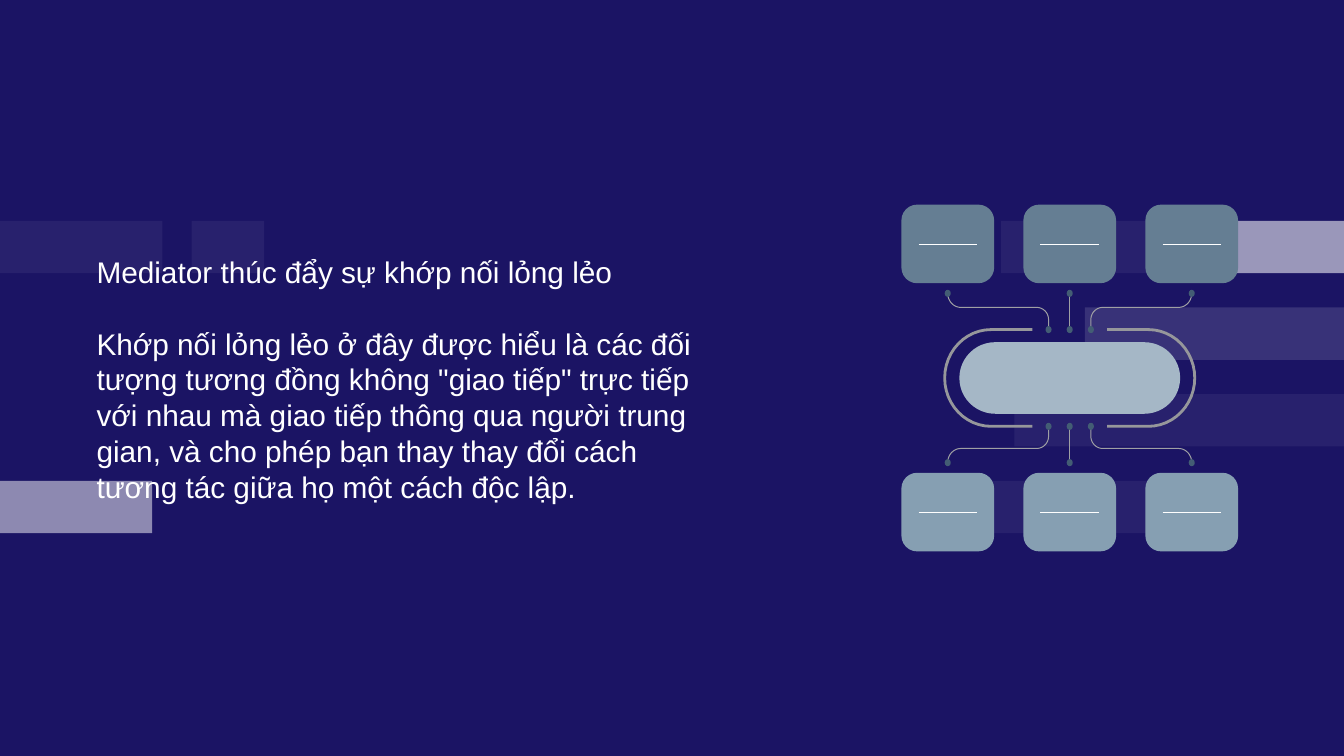
from math import cos, pi, sin

from lxml import etree
from pptx import Presentation
from pptx import util as u
from pptx.dml.color import RGBColor
from pptx.enum import shapes as kinds, text
from pptx.oxml.ns import qn

WIDE, HIGH = 13.33, 7.5
HUES = {
    "back": "1B1464", "white": "FFFFFF", "pill": "A5B7C6", "ring": "96979B",
    "rail": "9FA0A4", "dot": "435D74", "top": "657E93", "low": "869FB2",
}
BANDS = [
    (10.76, 1, 2.57, 13), (9.93, 0, 1.61, 6), (10.06, 2, 3.27, 6),
    (11.82, 0, 1.51, 56), (9.83, 3, 1.61, 6), (0, 3, 1.51, 50),
    (0, 0, 1.61, 6), (1.9, 0, 0.72, 6),
]
HEAD = "Mediator thúc đẩy sự khớp nối lỏng lẻo"
BODY = (
    "Khớp nối lỏng lẻo ở đây được hiểu là các đối tượng tương đồng không "
    '"giao tiếp" trực tiếp với nhau mà giao tiếp thông qua người trung gian, '
    "và cho phép bạn thay thay đổi cách tương tác giữa họ một cách độc lập."
)


def hue(name):
    """Return the named colour."""
    return RGBColor.from_string(HUES[name])


def block(group, kind, box, name):
    """Add a plain filled shape in a box given in inches."""
    shape = group.add_shape(kind, *map(u.Inches, box))
    shape.shadow.inherit = False
    shape.fill.solid()
    shape.fill.fore_color.rgb = hue(name)
    shape.line.fill.background()
    return shape


def centred(group, kind, x, y, w, h, name):
    """Add a filled shape around a centre point."""
    return block(group, kind, (x - w / 2, y - h / 2, w, h), name)


def rule(group, start, end, name, width):
    """Add a straight line between two points."""
    line = group.add_connector(
        kinds.MSO_CONNECTOR.STRAIGHT, *map(u.Inches, (*start, *end)))
    line.line.color.rgb = hue(name)
    line.line.width = u.Pt(width)
    etree.SubElement(line._element.spPr, qn("a:effectLst"))


def curve(group, points, name, width):
    """Add an open outline through the points."""
    spots = [(u.Inches(x), u.Inches(y)) for x, y in points]
    pen = group.build_freeform(*spots[0])
    pen.add_line_segments(spots[1:], close=False)
    shape = pen.convert_to_shape()
    shape.shadow.inherit = False
    shape.fill.background()
    shape.line.color.rgb = hue(name)
    shape.line.width = u.Pt(width)


def arc(x, y, rx, ry, start, end, steps=24):
    """Return points on an ellipse between two angles in quarter turns."""
    turns = [(start + (end - start) * i / steps) * pi / 2
             for i in range(steps + 1)]
    return [(x + rx * cos(t), y + ry * sin(t)) for t in turns]


def bands(group, top, pitch, high):
    """Place the faint bands on their rows."""
    for x, row, wide, alpha in BANDS:
        box = (x, top + row * pitch, wide, high)
        shape = block(group, kinds.MSO_SHAPE.RECTANGLE, box, "white")
        tint = shape.fill._xPr.find(".//" + qn("a:srgbClr"))
        etree.SubElement(tint, qn("a:alpha")).set("val", str(alpha * 1000))


def prose(group, box):
    """Write the heading and the paragraph below it."""
    frame = group.add_textbox(*map(u.Inches, box)).text_frame
    frame.word_wrap = True
    frame.auto_size = text.MSO_AUTO_SIZE.SHAPE_TO_FIT_TEXT
    for i, words in enumerate((HEAD, BODY)):
        para = frame.add_paragraph() if i else frame.paragraphs[0]
        para.space_before = u.Pt(25.5 * i)
        run = para.add_run()
        run.text = words
        run.font.size = u.Pt(21.3)
        run.font.name = "Arial"
        run.font.color.rgb = hue("white")


def hub(group, x, y):
    """Draw the pill and the half rings on its two sides."""
    pill = centred(group, kinds.MSO_SHAPE.ROUNDED_RECTANGLE,
                   x, y, 2.19, 0.71, "pill")
    pill.adjustments[0] = 0.5
    for side in (-1, 1):
        bend = arc(0.78, 0, 0.46, 0.48, -1, 1)
        path = [(0.37, -0.48), *bend, (0.37, 0.48)]
        curve(group, [(x + side * a, y + b) for a, b in path], "ring", 2)


def branch(group, x, y, way, name):
    """Draw three boxes and their links above or below the hub."""
    near, far, step = y + way * 0.48, y + way * 0.84, 1.21
    rule(group, (x, near), (x, far), "rail", 0.7)
    for side in (-1, 1):
        path = [(0.21, 0.48), *arc(0.33, 0.58, 0.12, 0.12, 2, 1),
                *arc(1.08, 0.84, 0.13, 0.14, -1, 0)]
        spots = [(x + side * a, y + way * b) for a, b in path]
        curve(group, spots, "rail", 0.7)
    for col in (-1, 0, 1):
        mid, row = x + col * step, y + way * 1.33
        card = centred(group, kinds.MSO_SHAPE.ROUNDED_RECTANGLE,
                       mid, row, 0.92, 0.78, name)
        card.adjustments[0] = 0.2
        rule(group, (mid - 0.29, row), (mid + 0.29, row), "white", 0.4)
        for a, b in ((mid, far), (x + col * 0.21, near)):
            centred(group, kinds.MSO_SHAPE.OVAL, a, b, 0.06, 0.07, "dot")


def main():
    """Build the slide and save it."""
    deck = Presentation()
    deck.slide_width, deck.slide_height = u.Inches(WIDE), u.Inches(HIGH)
    slide = deck.slides.add_slide(deck.slide_layouts[6])
    slide.background.fill.solid()
    slide.background.fill.fore_color.rgb = hue("back")
    bands(slide.shapes, 2.19, 0.86, 0.52)
    prose(slide.shapes, (0.86, 2.47, 6.4, 2.61))
    group = slide.shapes.add_group_shape().shapes
    x, y = 10.61, HIGH / 2
    hub(group, x, y)
    branch(group, x, y, -1, "top")
    branch(group, x, y, 1, "low")
    deck.save("out.pptx")


if __name__ == "__main__":
    main()
